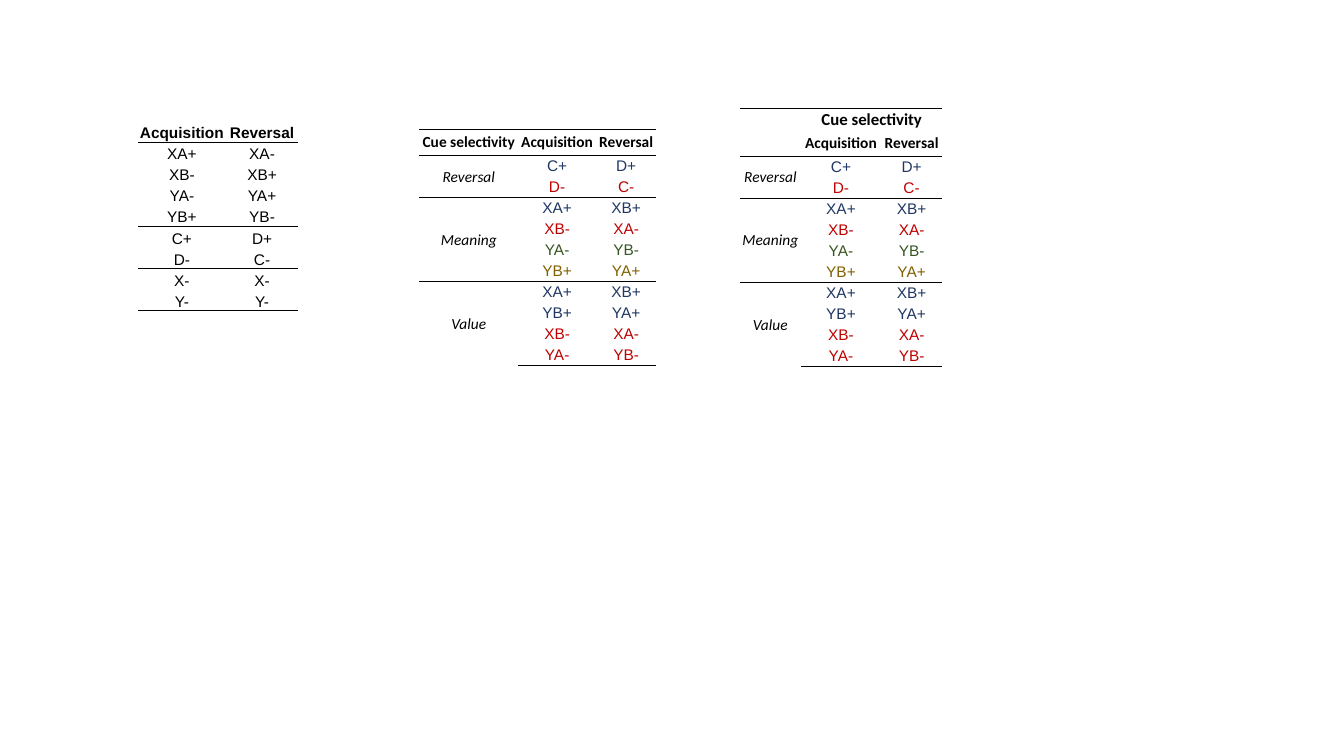
from dataclasses import dataclass
from itertools import accumulate

from lxml import etree
from pptx import Presentation
from pptx.dml.color import RGBColor
from pptx.enum.text import MSO_ANCHOR, PP_ALIGN
from pptx.oxml.ns import qn
from pptx.util import Cm, Pt

CENTER = PP_ALIGN.CENTER
MIDDLE, BOTTOM = MSO_ANCHOR.MIDDLE, MSO_ANCHOR.BOTTOM
BLANK_LAYOUT = 6


@dataclass(frozen=True)
class Theme:
    black: str = "000000"
    white: str = "FFFFFF"
    navy: str = "203764"
    red: str = "C00000"
    green: str = "375623"
    gold: str = "806000"
    cue_font: str = "Arial"
    label_font: str = "Calibri"
    body: float = 11
    heading: float = 12
    rule: float = 0.5


@dataclass(frozen=True)
class TextStyle:
    font: str
    size: float
    color: str
    bold: bool = False
    italic: bool = False


@dataclass(frozen=True)
class Block:
    """Consecutive trials, closed by a rule; each pair is acquisition, reversal."""
    label: str
    pairs: tuple[str, ...]
    colors: tuple[str, ...]


@dataclass(frozen=True)
class Design:
    left: float
    top: float
    widths: tuple[float, ...]
    headers: tuple[tuple[str, ...], ...]
    header_heights: tuple[float, ...]
    header_styles: tuple[TextStyle, ...]
    blocks: tuple[Block, ...]
    anchor: MSO_ANCHOR = MIDDLE
    top_rule: bool = True


THEME = Theme()
ROW_HEIGHT = 0.53
HEADER_HEIGHT = 0.66
CELL_FORMAT = {"margin_left": Cm(0.03), "margin_right": Cm(0.03),
               "margin_top": Cm(0.03), "margin_bottom": Cm(0)}

CUE_HEADER = TextStyle(THEME.cue_font, THEME.body, THEME.black, bold=True)
LABEL_HEADER = TextStyle(THEME.label_font, THEME.body, THEME.black, bold=True)
SPAN_HEADER = TextStyle(THEME.label_font, THEME.heading, THEME.black, bold=True)
LABEL = TextStyle(THEME.label_font, THEME.body, THEME.black, italic=True)

# Trial blocks
PLAIN = (THEME.black,) * 4
PLAIN_BLOCKS = (
    Block("", ("XA+ XA-", "XB- XB+", "YA- YA+", "YB+ YB-"), PLAIN),
    Block("", ("C+ D+", "D- C-"), PLAIN[:2]),
    Block("", ("X- X-", "Y- Y-"), PLAIN[:2]),
)
SELECTIVITY_BLOCKS = (
    Block("Reversal", ("C+ D+", "D- C-"), (THEME.navy, THEME.red)),
    Block("Meaning", ("XA+ XB+", "XB- XA-", "YA- YB-", "YB+ YA+"),
          (THEME.navy, THEME.red, THEME.green, THEME.gold)),
    Block("Value", ("XA+ XB+", "YB+ YA+", "XB- XA-", "YA- YB-"),
          (THEME.navy, THEME.navy, THEME.red, THEME.red)),
)
PHASES = ("Acquisition", "Reversal")

DESIGNS = (
    Design(3.48, 3.05, (2.21, 1.83), (PHASES,), (ROW_HEIGHT,),
           (CUE_HEADER,), PLAIN_BLOCKS, anchor=BOTTOM, top_rule=False),
    Design(10.57, 3.25, (2.49, 1.96, 1.52), (("Cue selectivity", *PHASES),),
           (HEADER_HEIGHT,), (LABEL_HEADER,), SELECTIVITY_BLOCKS),
    Design(18.64, 2.72, (1.55, 2.01, 1.55),
           (("", "Cue selectivity", ""), ("", *PHASES)),
           (ROW_HEIGHT, HEADER_HEIGHT), (SPAN_HEADER, LABEL_HEADER),
           SELECTIVITY_BLOCKS),
)


def set_borders(cell, ruled_sides: set[str]) -> None:
    properties = cell._tc.get_or_add_tcPr()
    for side in "LRTB":
        line = etree.SubElement(properties, qn(f"a:ln{side}"), w=str(Pt(THEME.rule)))
        if side in ruled_sides:
            fill = etree.SubElement(line, qn("a:solidFill"))
            etree.SubElement(fill, qn("a:srgbClr"), val=THEME.black)
        else:
            etree.SubElement(line, qn("a:noFill"))


def write_cell(cell, text: str, style: TextStyle) -> None:
    para = cell.text_frame.paragraphs[0]
    para.alignment = CENTER
    if not text:
        # Keeps an empty cell from stretching its row
        etree.SubElement(para._p, qn("a:endParaRPr"), sz=str(int(THEME.body * 100)))
        return
    span = para.add_run()
    span.text = text
    font_format = {"name": style.font, "size": Pt(style.size),
                   "bold": style.bold, "italic": style.italic}
    for name, value in font_format.items():
        setattr(span.font, name, value)
    span.font.color.rgb = RGBColor.from_string(style.color)


def table_rows(design: Design) -> list[list[tuple[str, TextStyle]]]:
    rows = [[(text, style) for text in header]
            for header, style in zip(design.headers, design.header_styles)]
    has_labels = len(design.widths) > len(PHASES)
    for block in design.blocks:
        for index, (pair, color) in enumerate(zip(block.pairs, block.colors)):
            style = TextStyle(THEME.cue_font, THEME.body, color)
            label = [(block.label if index == 0 else "", LABEL)] if has_labels else []
            rows.append(label + [(cue, style) for cue in pair.split()])
    return rows


def add_design(page, design: Design) -> None:
    rows = table_rows(design)
    heights = [*design.header_heights]
    heights += [ROW_HEIGHT] * (len(rows) - len(heights))
    table = page.shapes.add_table(
        len(rows), len(design.widths), Cm(design.left), Cm(design.top),
        Cm(sum(design.widths)), Cm(sum(heights))).table
    table.first_row = table.horz_banding = False
    for column, width in zip(table.columns, design.widths):
        column.width = Cm(width)
    for row, height in zip(table.rows, heights):
        row.height = Cm(height)

    # Rules lie under the header and under each block
    edges = list(accumulate((len(block.pairs) for block in design.blocks),
                            initial=len(design.headers)))
    rules = set(edges) | ({0} if design.top_rule else set())
    for row_index, row in enumerate(rows):
        sides = {side for side, edge in (("T", row_index), ("B", row_index + 1))
                 if edge in rules}
        for column_index, (text, style) in enumerate(row):
            cell = table.cell(row_index, column_index)
            for name, value in CELL_FORMAT.items():
                setattr(cell, name, value)
            cell.vertical_anchor = design.anchor
            set_borders(cell, sides)
            cell.fill.solid()
            cell.fill.fore_color.rgb = RGBColor.from_string(THEME.white)
            write_cell(cell, text, style)

    # Block labels span their trials, a shared heading spans both phases
    if len(design.widths) > len(PHASES):
        for first, following in zip(edges, edges[1:]):
            table.cell(first, 0).merge(table.cell(following - 1, 0))
    if len(design.headers) > 1:
        table.cell(0, 1).merge(table.cell(0, 2))


deck = Presentation()
deck.slide_width, deck.slide_height = Cm(33.87), Cm(19.05)
page = deck.slides.add_slide(deck.slide_layouts[BLANK_LAYOUT])
for design in DESIGNS:
    add_design(page, design)
deck.save("out.pptx")
